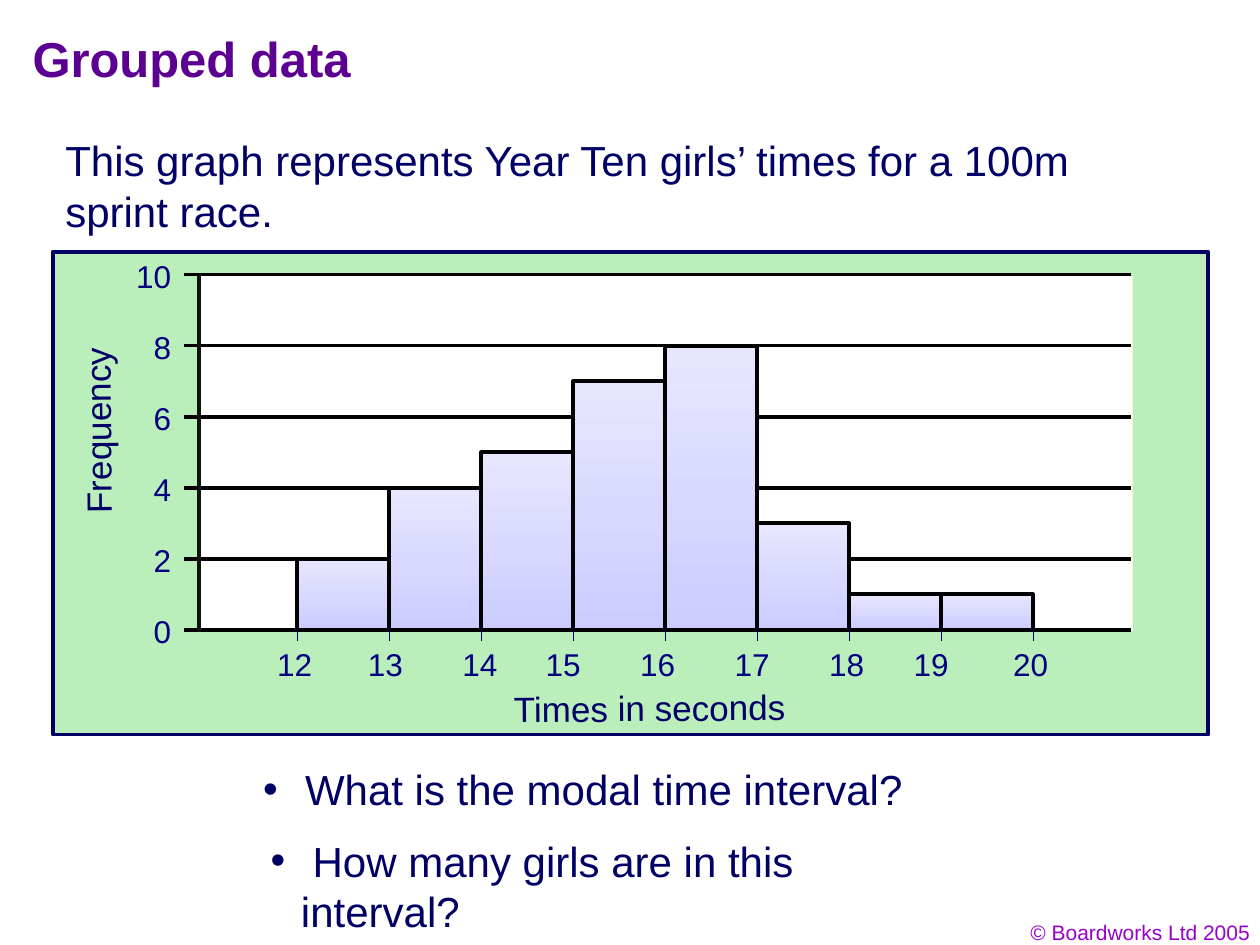
import pptx
import pptx.util
from pptx.dml.color import RGBColor
from pptx.enum.shapes import MSO_CONNECTOR, MSO_SHAPE
from pptx.enum.text import MSO_ANCHOR, PP_ALIGN
from pptx.oxml.ns import qn
from lxml import etree

Inches = pptx.util.Inches
Pt = pptx.util.Pt

WHITE = RGBColor(0xFF, 0xFF, 0xFF)
BLACK = RGBColor(0x00, 0x00, 0x00)
AXIS = RGBColor(0x11, 0x11, 0x11)
NAVY = RGBColor(0x00, 0x00, 0x66)
INK = RGBColor(0x01, 0x00, 0x66)
LABEL = RGBColor(0x00, 0x00, 0x80)
PURPLE = RGBColor(0x5B, 0x00, 0x91)
VIOLET = RGBColor(0x99, 0x00, 0xCC)
GREEN = RGBColor(0xBA, 0xEE, 0xBA)
BAR_TOP = RGBColor(0xE6, 0xE6, 0xFE)
BAR_BOTTOM = RGBColor(0xCC, 0xCC, 0xFF)

# Graph scales
BASE_Y, TOP_Y, MAX_FREQUENCY = 5, 2.18, 10
FIRST_X, BIN_WIDTH = 2.36, 0.73
PLOT_LEFT, PLOT_RIGHT = 1.56, 8.98
FREQUENCIES = [2, 4, 5, 7, 8, 3, 1, 1]
TIME_LABELS = {12: 2.2, 13: 2.92, 14: 3.67, 15: 4.33, 16: 5.08,
               17: 5.83, 18: 6.58, 19: 7.25, 20: 8.04}


def freq_y(value):
    return BASE_Y - (BASE_Y - TOP_Y) * value / MAX_FREQUENCY


def time_x(i):
    return FIRST_X + BIN_WIDTH * i


class SlideBuilder:
    font = "Arial"

    def __init__(self, s):
        self.s = s

    def text(self, text, x, y, w, h, size, color, bold=False, wrap=True,
             margins=True, align=PP_ALIGN.LEFT, anchor=MSO_ANCHOR.TOP,
             rotation=0, bullet=False):
        sp = self.s.shapes.add_textbox(Inches(x), Inches(y), Inches(w), Inches(h))
        sp.rotation = rotation
        tf = sp.text_frame
        tf.word_wrap = wrap
        tf.vertical_anchor = anchor
        if not margins:
            tf.margin_left = tf.margin_right = tf.margin_top = tf.margin_bottom = 0
        tf.text = text
        p = tf.paragraphs[0]
        p.alignment = align
        if bullet:
            self.bullet(p, color)
        f = p.runs[0].font
        f.name, f.size, f.bold = self.font, Pt(size), bold
        f.color.rgb = color

    def bullet(self, p, color):
        pPr = p._p.get_or_add_pPr()
        pPr.set("marL", str(Inches(0.24)))
        pPr.set("indent", str(-Inches(0.24)))
        clr = etree.SubElement(pPr, qn("a:buClr"))
        etree.SubElement(clr, qn("a:srgbClr")).set("val", str(color))
        etree.SubElement(pPr, qn("a:buFont")).set("typeface", self.font)
        etree.SubElement(pPr, qn("a:buChar")).set("char", "•")

    def rect(self, x, y, w, h, fill=None, line=None):
        sp = self.s.shapes.add_shape(MSO_SHAPE.RECTANGLE, Inches(x), Inches(y),
                                     Inches(w), Inches(h))
        sp.shadow.inherit = False
        if fill is not None:
            sp.fill.solid()
            sp.fill.fore_color.rgb = fill
        if line is None:
            sp.line.fill.background()
        else:
            sp.line.color.rgb = line
            sp.line.width = Pt(2.25)
        return sp

    def bar(self, x, y, w, h):
        sp = self.rect(x, y, w, h, line=BLACK)
        sp.fill.gradient()
        sp.fill.gradient_angle = 270
        for stop, color in zip(sp.fill.gradient_stops, (BAR_TOP, BAR_BOTTOM)):
            stop.color.rgb = color

    def line(self, x1, y1, x2, y2, color=BLACK, width=0):
        c = self.s.shapes.add_connector(MSO_CONNECTOR.STRAIGHT, Inches(x1),
                                        Inches(y1), Inches(x2), Inches(y2))
        c.line.color.rgb = color
        c.line.width = Pt(width)
        etree.SubElement(c._element.spPr, qn("a:effectLst"))


def main():
    prs = pptx.Presentation()
    prs.slide_width, prs.slide_height = Inches(10), Inches(7.5)
    b = SlideBuilder(prs.slides.add_slide(prs.slide_layouts[6]))

    # Footer, title and introduction
    b.text("© Boardworks Ltd 2005", 7.69, 7.25, 2.33, 0.3, 12, VIOLET,
           align=PP_ALIGN.RIGHT)
    b.text("Grouped data", 0.16, 0.17, 4.75, 0.58, 28, PURPLE, bold=True,
           anchor=MSO_ANCHOR.MIDDLE)
    b.text("This graph represents Year Ten girls’ times for a 100m sprint race.",
           0.42, 1.02, 9.06, 0.9, 24, INK)

    # Graph panel and axis titles
    b.rect(0.42, 2, 9.17, 3.83, GREEN, NAVY)
    b.rect(1.58, 2.19, 7.41, 2.82, WHITE)
    b.text("Frequency", -0.06, 3.12, 1.67, 0.44, 20, NAVY, rotation=269.5)
    b.text("Times in seconds", 3.98, 5.4, 2.44, 0.44, 20, NAVY, rotation=359.5)

    # Frequency axis: labels, gridlines and ticks
    for value in range(0, MAX_FREQUENCY + 1, 2):
        y = freq_y(value)
        w = 0.14 * len(str(value))
        b.text(str(value), 1.36 - w, y - 0.14, w, 0.3, 18, LABEL,
               wrap=False, margins=False)
        b.line(PLOT_LEFT, y, PLOT_RIGHT, y, width=0 if value else 2.25)
        b.line(PLOT_LEFT - 0.1, y, PLOT_LEFT, y)

    # Bars
    for i, frequency in enumerate(FREQUENCIES):
        y = freq_y(frequency)
        b.bar(time_x(i), y, BIN_WIDTH, BASE_Y - y)

    # Time axis: ticks and labels
    for i, (time, label_x) in enumerate(TIME_LABELS.items()):
        b.line(time_x(i), 4.98, time_x(i), 5.09, NAVY, 0.75)
        b.text(str(time), label_x, 5.12, 0.28, 0.3, 18, LABEL,
               wrap=False, margins=False)
    b.line(1.58, 5.02, 1.58, TOP_Y, AXIS, 2.25)

    # Questions
    b.text(" What is the modal time interval?", 1.99, 6.01, 5.45, 0.5, 24, NAVY,
           bullet=True)
    b.text(" How many girls are in this interval?", 2.05, 6.58, 5.58, 0.9, 24, INK,
           bullet=True)

    prs.save("out.pptx")


if __name__ == "__main__":
    main()
